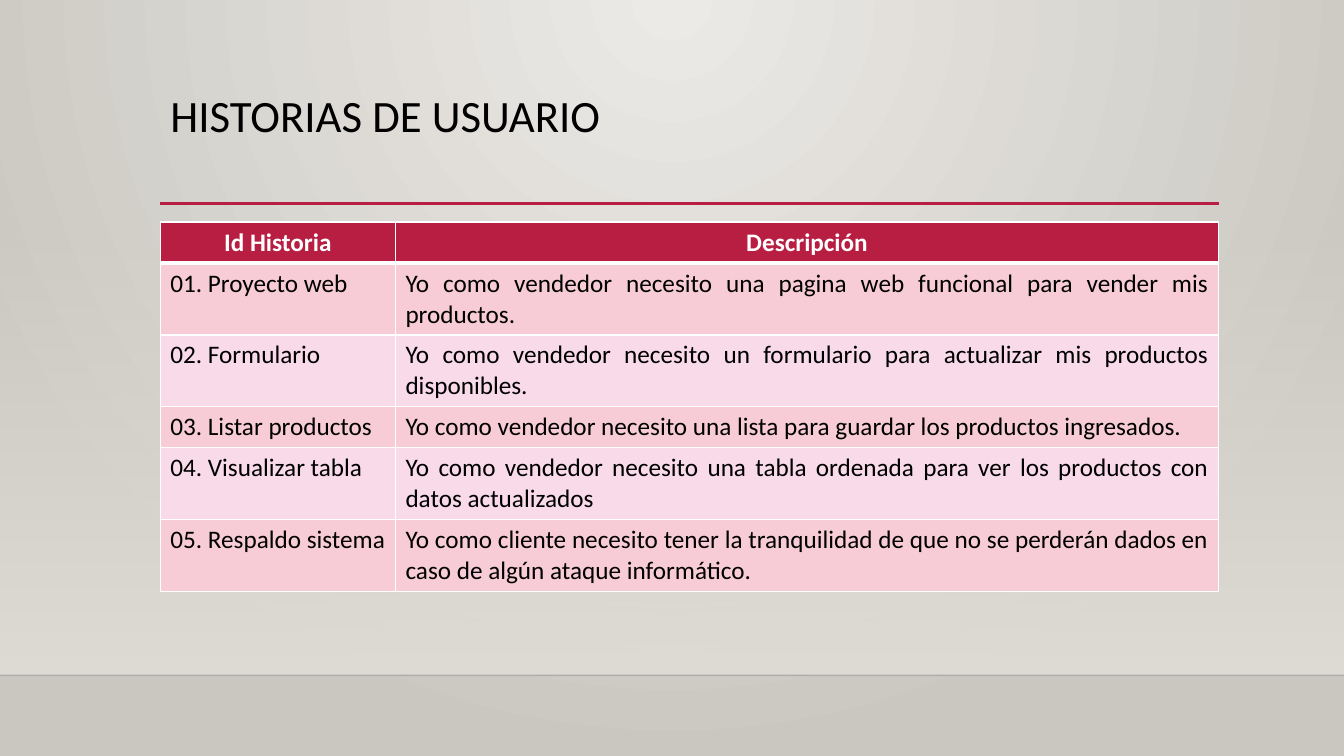
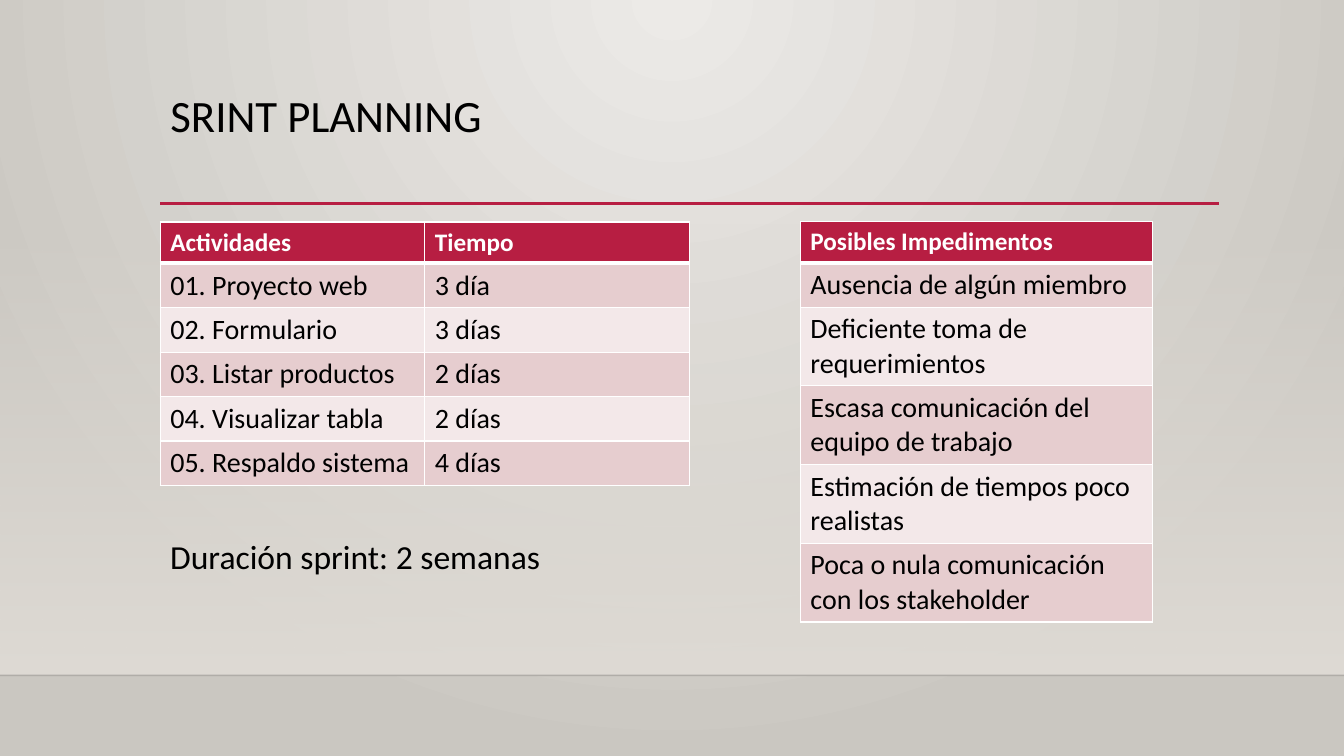
from lxml.etree import SubElement
from pptx import Presentation
from pptx.dml.color import RGBColor
from pptx.enum.shapes import MSO_CONNECTOR, MSO_SHAPE
from pptx.enum.text import MSO_ANCHOR, MSO_AUTO_SIZE, PP_ALIGN as AL
from pptx.oxml import parse_xml
from pptx.oxml.ns import nsdecls, qn
from pptx.util import Pt

BLACK = RGBColor(0x00, 0x00, 0x00)
WHITE = RGBColor(0xFF, 0xFF, 0xFF)
CRIMSON = RGBColor(0xB7, 0x1E, 0x42)
PINK = RGBColor(0xF7, 0xCC, 0xD6)
PALE_PINK = RGBColor(0xF8, 0xDA, 0xE8)
ROSE = RGBColor(0xE6, 0xCD, 0xCF)
PALE_ROSE = RGBColor(0xF3, 0xE8, 0xE9)
SAND = RGBColor(0xDF, 0xDB, 0xD5)
BG_LIGHT = RGBColor(0xEC, 0xEA, 0xE7)
BG_DARK = RGBColor(0xCA, 0xC7, 0xC1)

WIDTH, HEIGHT = 960, 540
LEFT, RULE_RIGHT = 114.5, 871
FLOOR = 482.4
ROW_HEIGHT = 29.5


def write(tf, text, size=18, color=BLACK, bold=False, align=AL.LEFT, spacing=1.0):
    p = tf.paragraphs[0]
    p.alignment = align
    p.line_spacing = spacing
    r = p.add_run()
    r.text = text
    r.font.name = "Calibri"
    r.font.size = Pt(size)
    r.font.bold = bold
    r.font.color.rgb = color


def add_grid(s, left, top, widths, rows, bands, size, head_align, aligns):
    frame = s.shapes.add_table(len(rows), len(widths), Pt(left), Pt(top),
                               Pt(sum(widths)), Pt(ROW_HEIGHT * len(rows)))
    table = frame.table
    for column, width in zip(table.columns, widths):
        column.width = Pt(width)
    for i, row in enumerate(rows):
        table.rows[i].height = Pt(ROW_HEIGHT)
        for j, text in enumerate(row):
            cell = table.cell(i, j)
            tcPr = cell._tc.get_or_add_tcPr()
            for side in "LRTB":
                thick = (i, side) in ((0, "B"), (1, "T"))
                tcPr.append(parse_xml(
                    f'<a:ln{side} {nsdecls("a")} w="{Pt(3 if thick else 1)}">'
                    f'<a:solidFill><a:srgbClr val="{WHITE}"/></a:solidFill></a:ln{side}>'))
            cell.fill.solid()
            if i == 0:
                cell.fill.fore_color.rgb = CRIMSON
                write(cell.text_frame, text, color=WHITE, bold=True, align=head_align)
            else:
                cell.fill.fore_color.rgb = bands[(i - 1) % 2]
                write(cell.text_frame, text, size=size, align=aligns[j])


prs = Presentation()
prs.slide_width, prs.slide_height = Pt(WIDTH), Pt(HEIGHT)
master = prs.slide_master
layout = prs.slide_layouts[5]

bg = master.background.fill
bg.gradient()
for stop, color in zip(bg.gradient_stops, (BG_LIGHT, BG_DARK)):
    stop.color.rgb = color
lin = next(master.element.iter(qn("a:lin")))
lin.getparent().replace(lin, parse_xml(
    f'<a:path {nsdecls("a")} path="circle">'
    '<a:fillToRect l="43000" t="0" r="43000" b="100000"/></a:path>'))

title = layout.placeholders[0]
title.left, title.top, title.width, title.height = Pt(LEFT), Pt(63.4), Pt(756), Pt(82.8)

slides = []
for heading in ("HISTORIAS DE USUARIO", "SRINT PLANNING"):
    s = prs.slides.add_slide(layout)
    tf = s.shapes.title.text_frame
    tf.vertical_anchor = MSO_ANCHOR.TOP
    tf.auto_size = MSO_AUTO_SIZE.NONE
    write(tf, heading, size=32, spacing=0.9)
    slides.append(s)
stories, planning = slides

wall = stories.shapes.add_shape(MSO_SHAPE.RECTANGLE, 0, Pt(159), Pt(WIDTH), Pt(FLOOR - 159))
wall.shadow.inherit = False
wall.line.fill.background()
wall.fill.gradient()
wall.fill.gradient_angle = 270
for stop in wall.fill.gradient_stops:
    stop.color.rgb = SAND
clear = next(wall.element.iter(qn("a:srgbClr")))
SubElement(clear, qn("a:alpha"), val="0")

decor = [wall]
for x1, x2, y, color, weight in ((0, WIDTH, FLOOR, BLACK, 1),
                                 (LEFT, RULE_RIGHT, 145.2, CRIMSON, 2.5)):
    rule = stories.shapes.add_connector(MSO_CONNECTOR.STRAIGHT, Pt(x1), Pt(y), Pt(x2), Pt(y))
    rule.line.color.rgb = color
    rule.line.width = Pt(weight)
    SubElement(rule.element.spPr, qn("a:effectLst"))
    decor.append(rule)
floor_color = next(decor[1].element.iter(qn("a:srgbClr")))
SubElement(floor_color, qn("a:alpha"), val="20000")

for position, sp in enumerate(decor, start=2):
    layout.shapes.element.insert(position, sp.element)

add_grid(stories, LEFT, 158.6, (168, 588), [
    ("Id Historia", "Descripción"),
    ("01. Proyecto web",
     "Yo como vendedor necesito una pagina web funcional para vender mis productos."),
    ("02. Formulario",
     "Yo como vendedor necesito un formulario para actualizar mis productos disponibles."),
    ("03. Listar productos",
     "Yo como vendedor necesito una lista para guardar los productos ingresados."),
    ("04. Visualizar tabla",
     "Yo como vendedor necesito una tabla ordenada para ver los productos con datos actualizados"),
    ("05. Respaldo sistema",
     "Yo como cliente necesito tener la tranquilidad de que no se perderán dados en caso de "
     "algún ataque informático."),
], (PINK, PALE_PINK), 18, AL.CENTER, (AL.JUSTIFY, AL.JUSTIFY))

add_grid(planning, LEFT, 158.6, (189, 189), [
    ("Actividades", "Tiempo"),
    ("01. Proyecto web", "3 día"),
    ("02. Formulario", "3 días"),
    ("03. Listar productos", "2 días"),
    ("04. Visualizar tabla", "2 días"),
    ("05. Respaldo sistema", "4 días"),
], (ROSE, PALE_ROSE), 20, AL.LEFT, (AL.JUSTIFY, AL.LEFT))

add_grid(planning, 571.7, 158.2, (251.5,), [
    ("Posibles Impedimentos",),
    ("Ausencia de algún miembro",),
    ("Deficiente toma de requerimientos",),
    ("Escasa comunicación del equipo de trabajo",),
    ("Estimación de tiempos poco realistas",),
    ("Poca o nula comunicación con los stakeholder",),
], (ROSE, PALE_ROSE), 20, AL.LEFT, (AL.LEFT,))

duration = planning.shapes.add_textbox(Pt(LEFT), Pt(379.5), Pt(408), Pt(36.4))
tf = duration.text_frame
tf.word_wrap = True
tf.auto_size = MSO_AUTO_SIZE.SHAPE_TO_FIT_TEXT
write(tf, "Duración sprint: 2 semanas", size=24)

prs.save("out.pptx")
